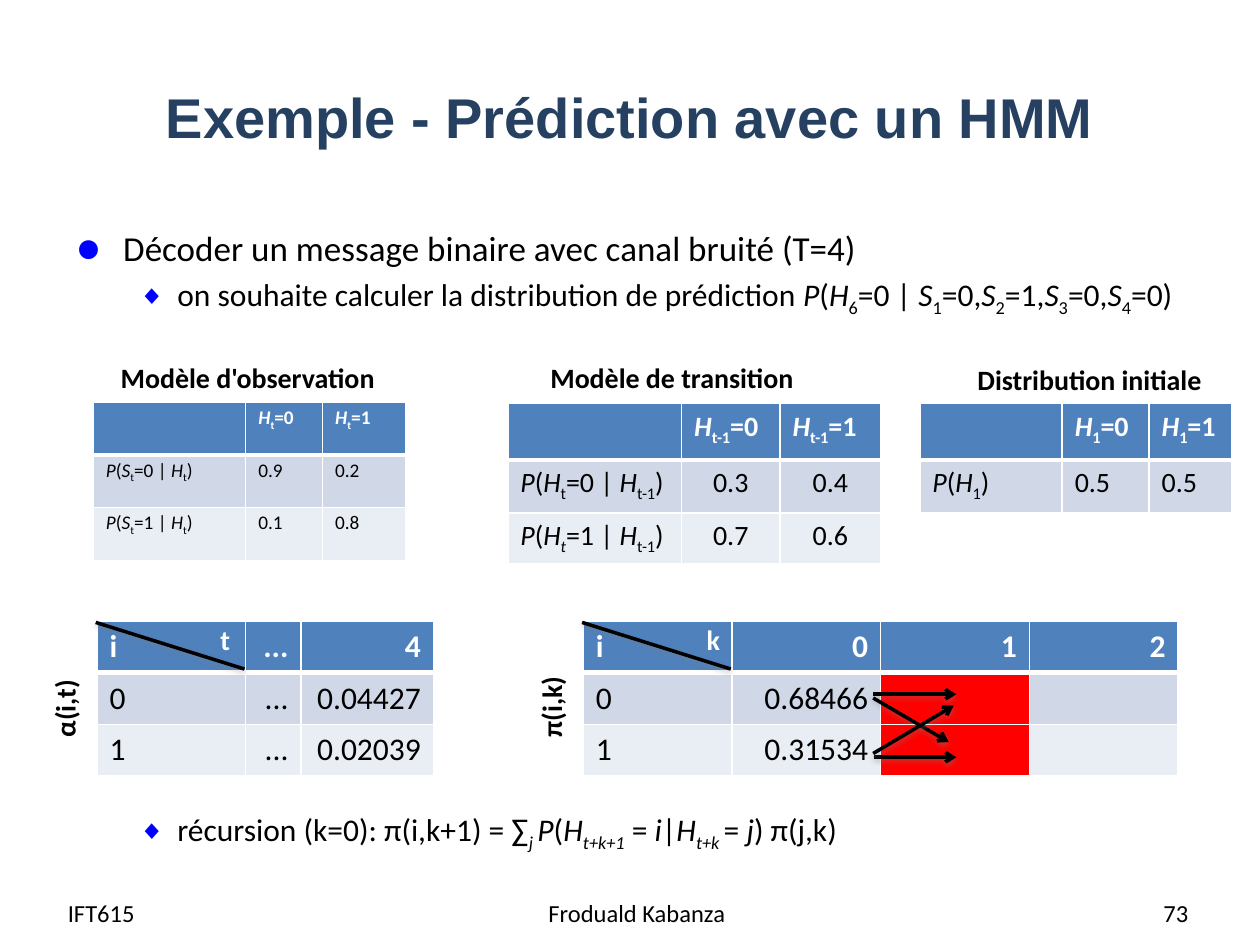
import pptx
import pptx.chart.data
import pptx.dml.color
import pptx.enum.shapes
import pptx.enum.text
import pptx.oxml
import pptx.oxml.ns
import pptx.util
from lxml import etree

Inches = pptx.util.Inches
Pt = pptx.util.Pt
ALIGN = pptx.enum.text.PP_ALIGN
MIDDLE = pptx.enum.text.MSO_ANCHOR.MIDDLE
LEFT, MID, RIGHT = ALIGN.LEFT, ALIGN.CENTER, ALIGN.RIGHT

BLACK, WHITE, NAVY = "000000", "FFFFFF", "254061"
BLUE, RED, HEAD = "0000FF", "FF0000", "4F81BD"
BANDS = ("D0D8E8", "E9EDF4")


def color(code):
    return pptx.dml.color.RGBColor.from_string(code)


def sub(node, tag, **attrs):
    """Append a DrawingML child element."""
    child = etree.SubElement(node, pptx.oxml.ns.qn("a:" + tag))
    for key, value in attrs.items():
        child.set(key, str(value))
    return child


def write(para, text, size, code=BLACK, bold=False, align=LEFT, font="Calibri"):
    """Fill a paragraph; * toggles italics and ~ toggles subscript."""
    para.alignment = align
    italic = False
    for i, part in enumerate(text.split("*")):
        italic = i % 2 == 1
        for j, piece in enumerate(part.split("~")):
            if not piece:
                continue
            run = para.add_run()
            run.text = piece
            run.font.size, run.font.name = Pt(size), font
            run.font.bold, run.font.italic = bold, italic
            run.font.color.rgb = color(code)
            if j % 2:
                run.font._element.set("baseline", "-25000")


def add_box(slide, x, y, w, h):
    box = slide.shapes.add_textbox(Inches(x), Inches(y), Inches(w), Inches(h))
    box.text_frame.word_wrap = True
    return box


def add_text(slide, text, x, y, w, h, size=16, anchor=None, turn=0, **style):
    box = add_box(slide, x, y, w, h)
    box.rotation = turn
    if anchor is not None:
        box.text_frame.vertical_anchor = anchor
    write(box.text_frame.paragraphs[0], text, size, **style)


def add_bullet(para, text, size, sign, scale, left, hang):
    props = para._p.get_or_add_pPr()
    props.set("marL", str(Inches(left)))
    props.set("indent", str(-Inches(hang)))
    sub(sub(props, "buClr"), "srgbClr", val=BLUE)
    sub(props, "buSzPct", val=scale * 1000)
    sub(props, "buFont", typeface="Arial")
    sub(props, "buChar", char=sign)
    write(para, text, size)


def add_point(para, text):
    add_bullet(para, text, 18, "◆", 85, 0.81, 0.31)


def add_edges(cell, top, bottom):
    props = cell._tc.get_or_add_tcPr()
    for side, width in (("L", 1), ("R", 1), ("T", top), ("B", bottom)):
        line = sub(props, "ln" + side, w=Pt(width))
        sub(sub(line, "solidFill"), "srgbClr", val=WHITE)


def add_grid(slide, x, y, cols, rows, data, size, head=LEFT, body=LEFT, pad=0.05):
    """Table with a blue header row; head and body align all but the first column."""
    frame = slide.shapes.add_table(len(rows), len(cols), Inches(x), Inches(y),
                                   Inches(sum(cols)), Inches(sum(rows)))
    grid = frame.table
    for col, width in zip(grid.columns, cols):
        col.width = Inches(width)
    for r, (height, texts) in enumerate(zip(rows, data)):
        grid.rows[r].height = Inches(height)
        for c, text in enumerate(texts):
            cell = grid.cell(r, c)
            cell.margin_top = cell.margin_bottom = Inches(pad)
            add_edges(cell, 3 if r == 1 else 1, 3 if r == 0 else 1)
            cell.fill.solid()
            cell.fill.fore_color.rgb = color(BANDS[(r - 1) % 2] if r else HEAD)
            side = LEFT if c == 0 else body if r else head
            write(cell.text_frame.paragraphs[0], text, size,
                  BLACK if r else WHITE, r == 0, side)
    return grid


def add_line(slide, x1, y1, x2, y2, arrow=False):
    line = slide.shapes.add_connector(pptx.enum.shapes.MSO_CONNECTOR.STRAIGHT,
                                      Inches(x1), Inches(y1), Inches(x2), Inches(y2))
    line.line.color.rgb = color(BLACK)
    line.line.width = Pt(2)
    if arrow:
        sub(line.line._get_or_add_ln(), "tailEnd", type="arrow")
    # Soft shadow straight below the line
    cast = sub(sub(line._element.spPr, "effectLst"), "outerShdw", blurRad=Pt(3.1),
               dist=Pt(1.6), dir=5400000, rotWithShape=0)
    sub(sub(cast, "srgbClr", val="808080"), "alpha", val=38000)


def add_corner(slide, x, name, label):
    """Split header corner, its second index and the rotated table label."""
    add_line(slide, x, 4.94, x + 1.18, 5.31)
    add_text(slide, name, x + 0.89, 4.89, 0.3, 0.37, code=WHITE, bold=True)
    add_text(slide, label, x - 0.61, 5.4, 0.73, 0.37, turn=270, bold=True)


def main():
    deck = pptx.Presentation()
    deck.slide_width, deck.slide_height = Inches(10), Inches(7.5)
    slide = deck.slides.add_slide(deck.slide_layouts[6])

    # Title and bullets
    add_text(slide, "Exemple - Prédiction avec un HMM", 0.5, 0.3, 9, 1.25, 32,
             MIDDLE, code=NAVY, bold=True, align=MID, font="Arial")
    frame = add_box(slide, 0.5, 1.75, 9, 0.9).text_frame
    add_bullet(frame.paragraphs[0], "Décoder un message binaire avec canal bruité (T=4)",
               20, "●", 125, 0.38, 0.38)
    para = frame.add_paragraph()
    para.space_before = Pt(3.6)
    add_point(para, "on souhaite calculer la distribution de prédiction "
                    "*P*(*H*~6~=0 | *S*~1~=0,*S*~2~=1,*S*~3~=0,*S*~4~=0)")
    frame = add_box(slide, 0.5, 6.38, 9, 0.42).text_frame
    add_point(frame.paragraphs[0], "récursion (k=0): π(i,k+1) = ∑*~j ~P*(*H~t+k+1~* = "
                                   "*i*|*H~t+k ~*= *j*) π(j,k)")

    # Model tables
    for text, x, y, w in (("Modèle d'observation", 0.86, 2.81, 2.4),
                          ("Modèle de transition", 4.27, 2.81, 2.67),
                          ("Distribution initiale", 7.66, 2.83, 2.67)):
        add_text(slide, text, x, y, w, 0.37, bold=True)
    add_grid(slide, 0.74, 3.19, (1.21, 0.61, 0.66), (0.42,) * 3, (
        ("", "*H*~t~=0", "*H*~t~=1"),
        ("*P*(*S*~t~=0 | *H*~t~)", "0.9", "0.2"),
        ("*P*(*S*~t~=1 | *H*~t~)", "0.1", "0.8")), 11, pad=0.03)
    add_grid(slide, 4.03, 3.2, (1.38, 0.78, 0.8), (0.45, 0.42, 0.4), (
        ("", "*H*~t-1~=0", "*H*~t-1~=1"),
        ("*P*(*H*~t~=0 | *H*~t-1~)", "0.3", "0.4"),
        ("*P*(*H~t~*=1 | *H*~t-1~)", "0.7", "0.6")), 16, body=MID)
    add_grid(slide, 7.3, 3.2, (1.13, 0.69, 0.66), (0.45, 0.42), (
        ("", "*H*~1~=0", "*H*~1~=1"),
        ("*P*(*H*~1~)", "0.5", "0.5")), 16)

    # Alpha and pi tables
    add_grid(slide, 0.77, 4.93, (1.18, 0.44, 1.05), (0.41,) * 3, (
        ("i", "...", "4"),
        ("0", "...", "0.04427"),
        ("1", "...", "0.02039")), 18, RIGHT, RIGHT)
    grid = add_grid(slide, 4.63, 4.93, (1.18,) * 4, (0.41,) * 3, (
        ("i", "0", "1", "2"),
        ("0", "0.68466", "", ""),
        ("1", "0.31534", "", "")), 18, RIGHT, RIGHT)
    for row in (1, 2):
        grid.cell(row, 2).fill.fore_color.rgb = color(RED)
    add_corner(slide, 0.76, "t", "α(i,t)")
    add_corner(slide, 4.62, "k", "π(i,k)")

    # Recursion arrows
    for ends in ((6.93, 5.51, 7.59, 5.51), (6.94, 6.01, 7.59, 6.01),
                 (6.93, 5.54, 7.53, 5.89), (6.93, 5.98, 7.57, 5.6)):
        add_line(slide, *ends, arrow=True)

    # Footer
    for text, x, w, side in (("IFT615", 0.44, 1.93, LEFT),
                             ("Froduald Kabanza", 3.47, 3.17, MID),
                             ("73", 7.2, 2.33, RIGHT)):
        add_text(slide, text, x, 7.04, w, 0.4, 14, MIDDLE, align=side)

    deck.save("out.pptx")


if __name__ == "__main__":
    main()
